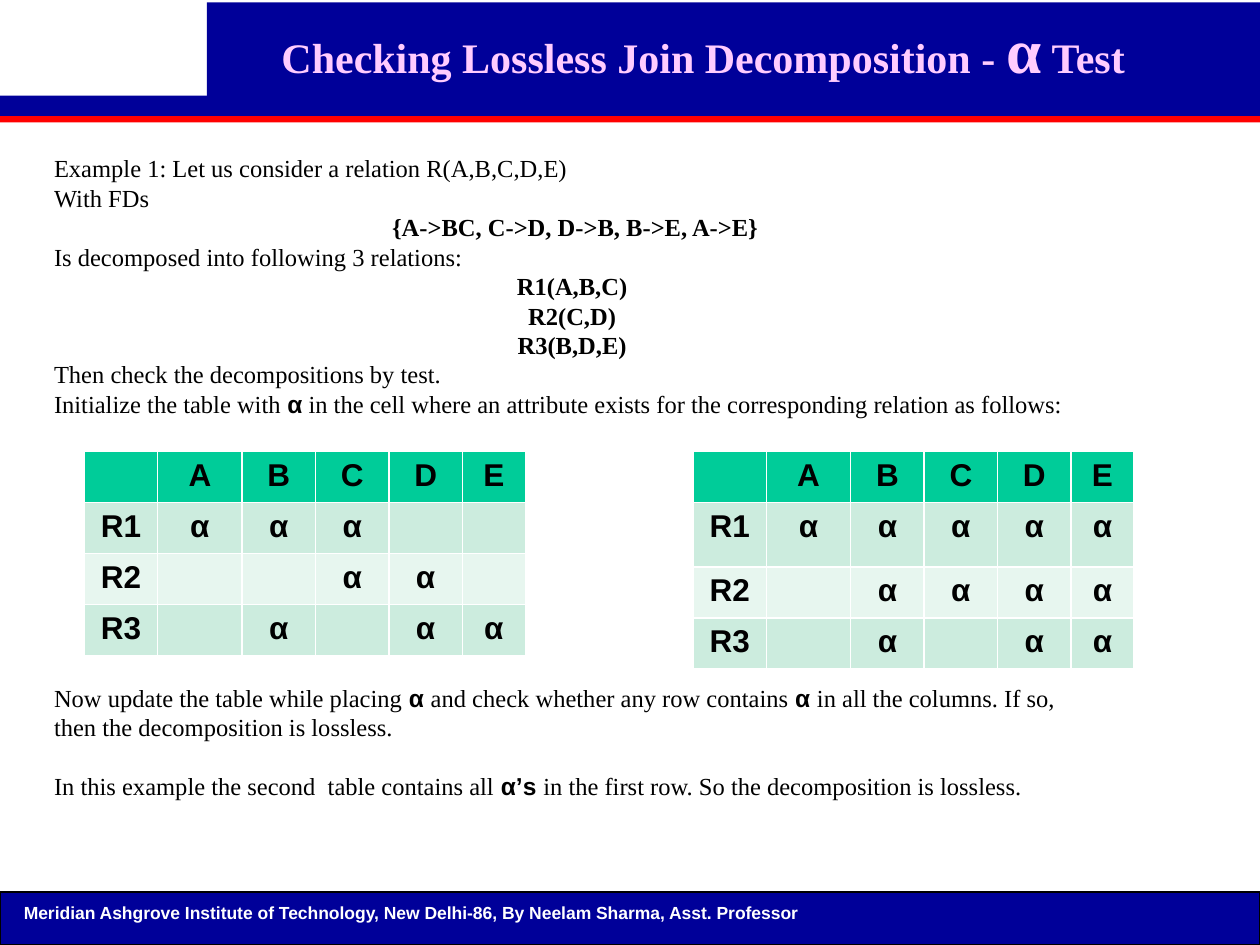
from lxml import etree
from pptx import Presentation
from pptx import util as u
from pptx.dml.color import RGBColor
from pptx.enum import shapes, text
from pptx.oxml import ns

COLOURS = {"navy": "000099", "red": "FF0000", "pink": "FFCCFF", "white": "FFFFFF",
           "black": "000000", "header": "00CC99", "odd": "CCECDE", "even": "E7F6EF"}
SERIF, SANS = "Times New Roman", "Arial"
CENTER, LEFT = text.PP_ALIGN.CENTER, text.PP_ALIGN.LEFT
ALPHA = "α"
LINE = 16.8


def colour(name):
    return RGBColor.from_string(COLOURS[name])


def style(span, size, font, name, bold):
    span.font.size = u.Pt(size)
    span.font.name = font
    span.font.bold = bold
    span.font.color.rgb = colour(name)


def add_bar(page, left, top, width, height, fill, outlined=False):
    bar = page.shapes.add_shape(shapes.MSO_SHAPE.RECTANGLE, u.Cm(left), u.Cm(top), u.Cm(width), u.Cm(height))
    bar.shadow.inherit = False
    bar.fill.solid()
    bar.fill.fore_color.rgb = colour(fill)
    if outlined:
        bar.line.color.rgb = colour("black")
        bar.line.width = u.Pt(0.75)
    else:
        bar.line.fill.background()


def add_frame(page, left, top, width, height):
    box = page.shapes.add_textbox(u.Cm(left), u.Cm(top), u.Cm(width), u.Cm(height))
    box.text_frame.word_wrap = True
    return box.text_frame


def add_spans(para, pieces):
    for words, *look in pieces:
        span = para.add_run()
        span.text = words
        style(span, *look)


def add_title(page, left, top, width, height):
    add_bar(page, left, top + 1.93, width, 0.41, "navy")
    add_bar(page, left, top + 2.34, width, 0.13, "red")
    add_bar(page, left + 4.17, top + 0.05, width - 4.17, 1.93, "navy")
    frame = add_frame(page, left + 3.38, top, 21.59, height)
    frame.margin_top = u.Cm(0.22)
    para = frame.paragraphs[0]
    para.alignment = CENTER
    add_spans(para, [(words, size, SERIF, "pink", True) for words, size in
                     (("Checking Lossless Join Decomposition - ", 24), (ALPHA, 36), (" Test", 24))])


def add_footer(page, left, top, width, height):
    add_bar(page, left, top, width, height, "navy", True)
    frame = add_frame(page, left + 0.23, top + 0.08, width - 1.07, 0.69)
    frame.text = "Meridian Ashgrove Institute of Technology, New Delhi-86, By Neelam Sharma, Asst. Professor"
    style(frame.paragraphs[0].runs[0], 10, SANS, "white", True)


def add_body(page, left, top, width, height, lines):
    frame = add_frame(page, left, top, width, height)
    for index, (align, blank_lines, pieces) in enumerate(lines):
        para = frame.add_paragraph() if index else frame.paragraphs[0]
        para.alignment = align
        para.line_spacing = u.Pt(LINE)
        para.space_before = u.Pt(round(blank_lines * LINE, 1))
        add_spans(para, [(words, 14, SANS if ALPHA in words else SERIF, "black", bold)
                         for words, bold in pieces])


def set_borders(cell):
    properties = cell._tc.get_or_add_tcPr()
    for index, side in enumerate(("lnL", "lnR", "lnT", "lnB")):
        border = etree.Element(ns.qn("a:" + side), w=str(u.Pt(1)))
        fill = etree.SubElement(border, ns.qn("a:solidFill"))
        etree.SubElement(fill, ns.qn("a:srgbClr"), val=COLOURS["white"])
        properties.insert(index, border)


def add_relation_table(page, left, top, row_heights, marks):
    columns = (1.48, 1.7, 1.48, 1.48, 1.48, 1.27)
    grid = page.shapes.add_table(len(row_heights), len(columns), u.Cm(left), u.Cm(top),
                                 u.Cm(sum(columns)), u.Cm(sum(row_heights))).table
    for column, width in zip(grid.columns, columns):
        column.width = u.Cm(width)
    rows = [["", *"ABCDE"]]
    for number, marked in enumerate(marks, 1):
        rows.append([f"R{number}", *(ALPHA if name in marked else "" for name in "ABCDE")])
    for index, (words, height) in enumerate(zip(rows, row_heights)):
        grid.rows[index].height = u.Cm(height)
        fill = ("odd" if index % 2 else "even") if index else "header"
        for column, word in enumerate(words):
            cell = grid.cell(index, column)
            cell.fill.solid()
            cell.fill.fore_color.rgb = colour(fill)
            set_borders(cell)
            cell.text = word
            para = cell.text_frame.paragraphs[0]
            para.alignment = CENTER
            for span in para.runs:
                style(span, 18, SANS, "black", True)


BODY = [
    (LEFT, 0, [("Example 1: Let us consider a relation R(A,B,C,D,E)", False)]),
    (LEFT, 0, [("With FDs", False)]),
    (CENTER, 0, [(" ", False), ("{A->BC, C->D, D->B, B->E, A->E}", True)]),
    (LEFT, 0, [("Is decomposed into following 3 relations:", False)]),
    *((CENTER, 0, [(name, True)]) for name in ("R1(A,B,C)", "R2(C,D)", "R3(B,D,E)")),
    (LEFT, 0, [("Then check the decompositions by test.", False)]),
    (LEFT, 0, [("Initialize the table with ", False), (ALPHA, True),
               (" in the cell where an attribute exists for the corresponding relation as follows:", False)]),
    (LEFT, 9, [("Now update the table while placing ", False), (ALPHA + " ", True),
               ("and check whether any row contains ", False), (ALPHA + " ", True),
               ("in all the columns. If so, then the decomposition is lossless.", False)]),
    (LEFT, 1, [("In this example the second  table contains all ", False), (ALPHA + "’s ", True),
               ("in the first row. So the decomposition is lossless.", False)]),
]

deck = Presentation()
deck.slide_width, deck.slide_height = u.Cm(25.4), u.Cm(19.05)
page = deck.slides.add_slide(deck.slide_layouts[6])
add_footer(page, 0, 17.98, 25.4, 1.07)
add_title(page, 0, 0, 25.4, 3.18)
add_body(page, 0.84, 2.97, 21.39, 15.21, BODY)
add_relation_table(page, 1.7, 9.1, (1.03, 1.03, 1.03, 1.03), ("ABC", "CD", "BDE"))
add_relation_table(page, 13.97, 9.1, (1.03, 1.3, 1.03, 1.03), ("ABCDE", "BCDE", "BDE"))
deck.save("out.pptx")
